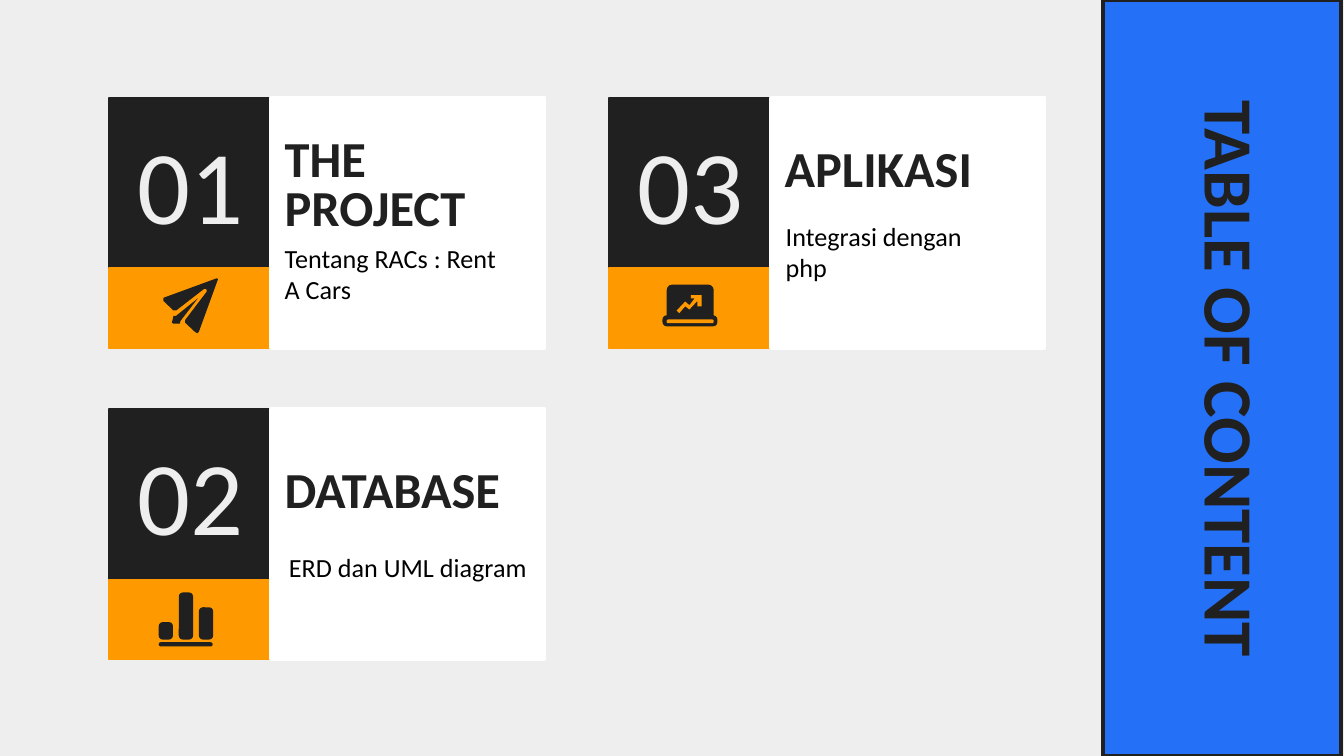
from dataclasses import dataclass

from pptx import Presentation
from pptx import util as u
from pptx.dml.color import RGBColor
from pptx.enum import shapes, text

COLORS = {
    "paper": "EEEEEE",
    "dark": "202020",
    "orange": "FF9900",
    "blue": "2471F7",
    "white": "FFFFFF",
    "black": "000000",
}
RECT = shapes.MSO_SHAPE.RECTANGLE
ROUND = shapes.MSO_SHAPE.ROUNDED_RECTANGLE
LEFT, TOP = 2.06, 1.85
COL_PITCH, ROW_PITCH = 9.45, 5.88
TAB_W, TAB_H = 3.07, 3.22
BAND_H, PANEL_W, PANEL_H = 1.52, 5.16, 4.72

NUMBER = {"size": u.Pt(56), "bold": False}
HEADING = {"size": u.Pt(27), "bold": True}
BODY = {"size": u.Pt(14), "bold": False}
TITLE = {"size": u.Pt(37), "bold": True}


@dataclass
class Card:
    number: str
    heading: tuple[str, ...]
    body: str
    col: int
    row: int
    heading_top: float
    body_box: tuple[float, float, float]


@dataclass
class Block:
    box: tuple[float, float, float, float]
    color: str
    radius: float


@dataclass
class Outline:
    color: str
    points: list[tuple[int, int]]


CARDS = [
    Card("01", ("THE", "PROJECT"), "Tentang RACs : Rent A Cars", 0, 0, 2.95, (5.13, 4.42, 4.85)),
    Card("02", ("DATABASE",), "ERD dan UML diagram", 0, 1, 8.74, (5.21, 9.96, 5.13)),
    Card("03", ("APLIKASI",), "Integrasi dengan php", 1, 0, 2.67, (14.6, 4.01, 4.27)),
]

CHART_ICON = [
    Block((3, 12.14, 1.02, 0.08), "dark", 0.5),
    Block((3, 11.76, 0.27, 0.33), "dark", 0.28),
    Block((3.38, 11.2, 0.27, 0.89), "dark", 0.28),
    Block((3.76, 11.48, 0.27, 0.61), "dark", 0.28),
]
LAPTOP_ICON = [
    Block((12.6, 5.38, 0.89, 0.7), "dark", 0.15),
    Block((12.52, 5.96, 1.04, 0.21), "dark", 0.4),
    Block((12.6, 6.04, 0.89, 0.07), "orange", 0.4),
]
OUTLINES = [
    Outline("dark", [
        (410, 526), (309, 563), (309, 569), (328, 587), (333, 587), (386, 546), (390, 546),
        (391, 551), (350, 605), (350, 610), (368, 627), (373, 630), (376, 627), (412, 528),
    ]),
    Outline("dark", [
        (374, 564), (333, 597), (328, 597), (325, 610), (328, 612), (340, 612), (341, 607),
    ]),
    Outline("orange", [
        (1306, 558), (1326, 558), (1326, 579), (1318, 579), (1318, 569), (1303, 585), (1295, 579),
        (1284, 592), (1279, 587), (1295, 570), (1303, 577), (1313, 564), (1306, 564),
    ]),
]


def rgb(name: str) -> RGBColor:
    return RGBColor.from_string(COLORS[name])


def paint(sp, fill: str, line: str | None = None, width: float = 0.75) -> None:
    sp.shadow.inherit = False
    sp.fill.solid()
    sp.fill.fore_color.rgb = rgb(fill)
    if line:
        sp.line.color.rgb = rgb(line)
        sp.line.width = u.Pt(width)
    else:
        sp.line.fill.background()


def add_box(s, kind, box: tuple, fill: str, line: str | None = None, width: float = 0.75):
    sp = s.shapes.add_shape(kind, *map(u.Cm, box))
    paint(sp, fill, line, width)
    return sp


def write(sp, lines: tuple, style: dict, color: str, align, spacing: float = 1, inset: float = 0.25) -> None:
    tf = sp.text_frame
    frame = {"word_wrap": True, "auto_size": text.MSO_AUTO_SIZE.NONE,
             "vertical_anchor": text.MSO_ANCHOR.MIDDLE}
    frame |= {f"margin_{side}": u.Cm(inset) for side in ("left", "right", "top", "bottom")}
    for key, value in frame.items():
        setattr(tf, key, value)
    for i, line in enumerate(lines):
        p = tf.paragraphs[0] if i == 0 else tf.add_paragraph()
        p.alignment, p.line_spacing = align, spacing
        r = p.add_run()
        r.text = line
        for key, value in ({"name": "Calibri"} | style).items():
            setattr(r.font, key, value)
        r.font.color.rgb = rgb(color)


def add_text(s, box: tuple, lines: tuple, style: dict, color: str, spacing: float = 1) -> None:
    sp = s.shapes.add_textbox(*map(u.Cm, box))
    write(sp, lines, style, color, text.PP_ALIGN.LEFT, spacing)


def add_card(s, card: Card) -> None:
    x, y = LEFT + card.col * COL_PITCH, TOP + card.row * ROW_PITCH
    tab = add_box(s, RECT, (x, y, TAB_W, TAB_H), "dark", "dark")
    write(tab, (card.number,), NUMBER, "paper", text.PP_ALIGN.CENTER)
    add_box(s, RECT, (x, y + TAB_H, TAB_W, BAND_H), "orange", "orange")
    add_box(s, RECT, (x + TAB_W, y, PANEL_W, PANEL_H), "white", "white", 2.25)
    add_text(s, (x + TAB_W, card.heading_top, 5.13, 1.19), card.heading, HEADING, "dark", 0.8)
    add_text(s, (*card.body_box, 1.5), (card.body,), BODY, "black")


def add_block(s, block: Block) -> None:
    sp = add_box(s, ROUND, block.box, block.color)
    sp.adjustments[0] = block.radius


def add_outline(s, outline: Outline) -> None:
    fb = s.shapes.build_freeform(*outline.points[0], scale=u.Cm(0.01))
    fb.add_line_segments(outline.points[1:], close=True)
    paint(fb.convert_to_shape(), outline.color)


def add_title(s) -> None:
    add_box(s, RECT, (20.85, 0, 4.5, 14.29), "blue", "dark", 2.25)
    sp = s.shapes.title
    place = {"left": 17.5, "top": 4.93, "width": 11.28, "height": 4.45}
    for key, value in place.items():
        setattr(sp, key, u.Cm(value))
    sp.rotation = 90
    write(sp, ("TABLE OF CONTENT",), TITLE, "dark", text.PP_ALIGN.CENTER, 0.8, 0)
    s.shapes._spTree.append(sp._element)


def main() -> None:
    prs = Presentation()
    prs.slide_width, prs.slide_height = u.Cm(25.4), u.Cm(14.29)
    s = prs.slides.add_slide(prs.slide_layouts[5])
    s.background.fill.solid()
    s.background.fill.fore_color.rgb = rgb("paper")
    add_title(s)
    for card in CARDS:
        add_card(s, card)
    for block in CHART_ICON + LAPTOP_ICON:
        add_block(s, block)
    for outline in OUTLINES:
        add_outline(s, outline)
    prs.save("out.pptx")


if __name__ == "__main__":
    main()
